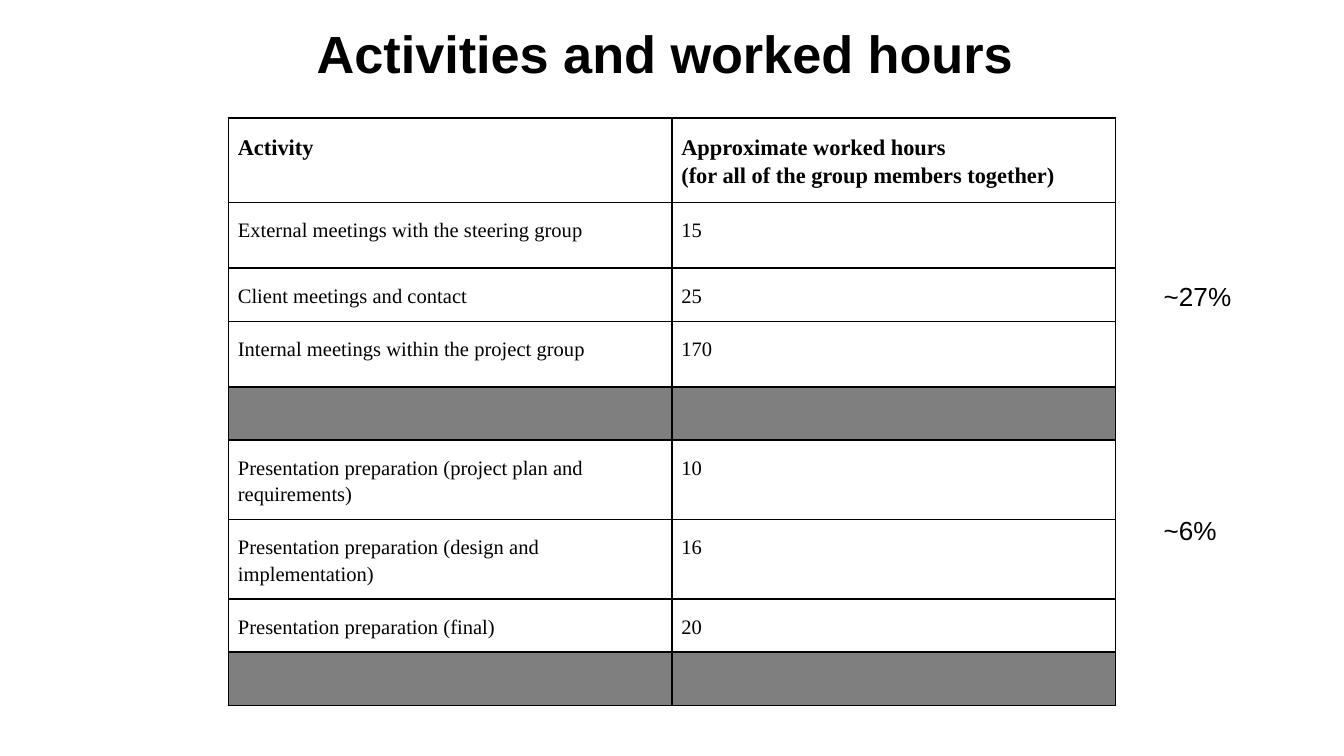
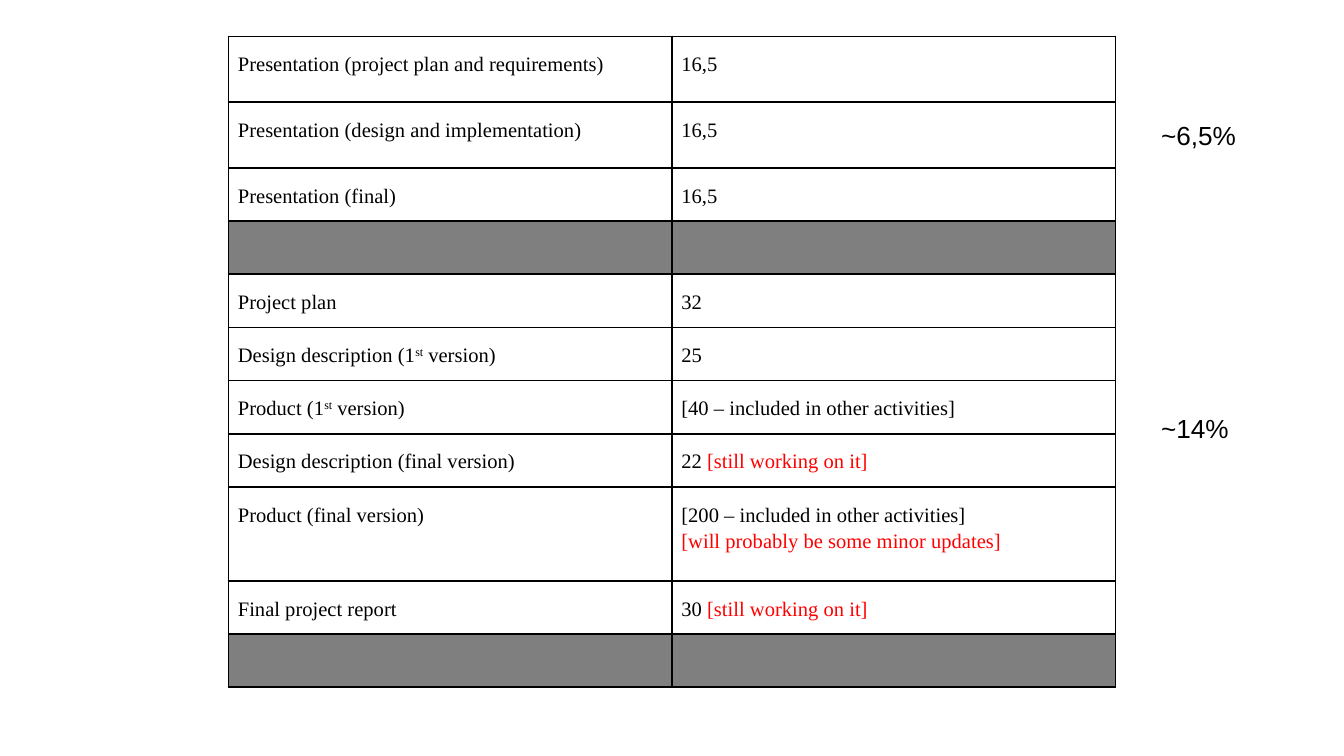
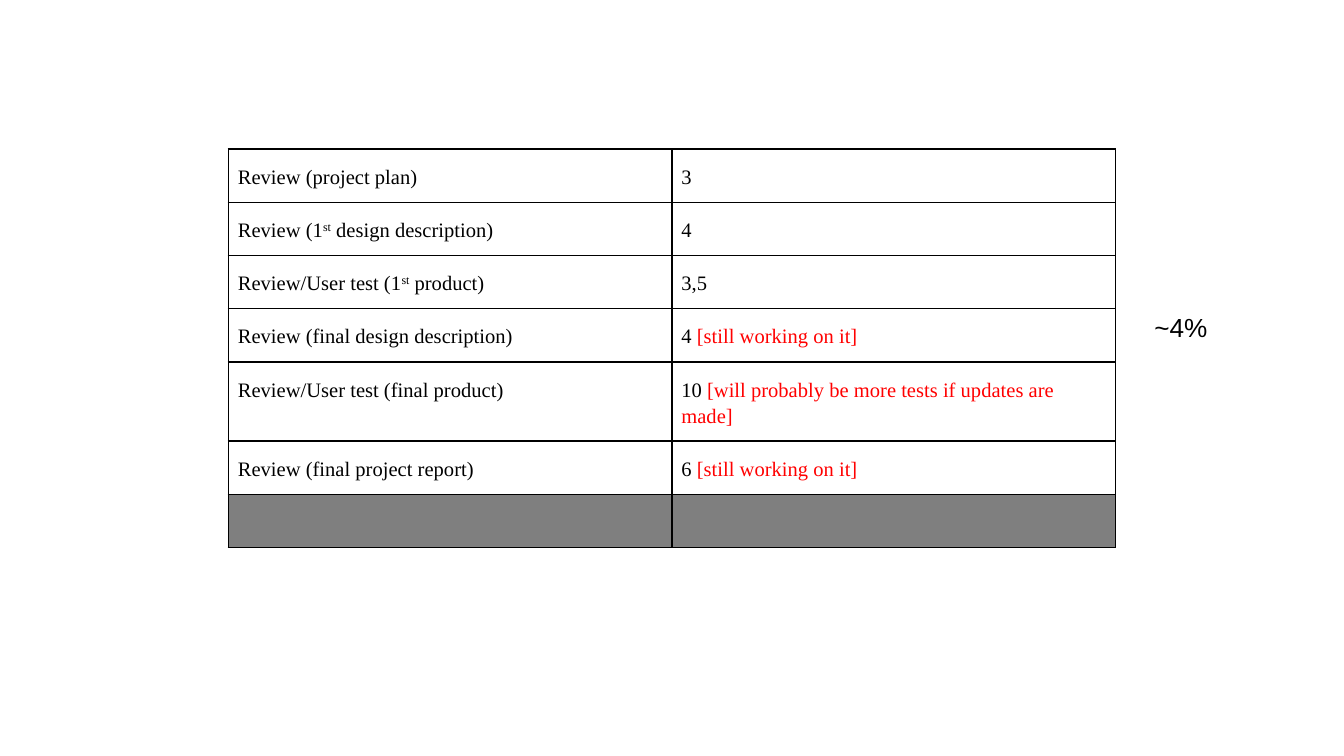
"""Build three slides that list project activities with their worked hours."""
from dataclasses import dataclass

from lxml import etree
from pptx import Presentation
from pptx.dml.color import RGBColor
from pptx.enum.text import MSO_ANCHOR, MSO_AUTO_SIZE, PP_ALIGN
from pptx.oxml.ns import qn
from pptx.util import Inches, Pt

TOP = MSO_ANCHOR.TOP
FIXED = MSO_AUTO_SIZE.NONE
CENTER = PP_ALIGN.CENTER

BLACK = RGBColor(0x00, 0x00, 0x00)
RED = RGBColor(0xFF, 0x00, 0x00)
GREY = RGBColor(0x7F, 0x7F, 0x7F)

SANS, SERIF = "Arial", "Times New Roman"
WIDTH, HEIGHT = Inches(10), Inches(5.625)
UNIT = WIDTH // 100
LEFT, COLUMN = 17, 33
LOW, MID, TALL, HEAD, HIGH = 3.95, 4.9, 5.88, 6.22, 7
TITLE_ONLY, BLANK = 5, 6
OPEN = " [still working on it]"


@dataclass
class Row:
    task: str = ""
    hours: str = ""
    note: str = ""
    below: str = ""
    tall: float = LOW
    head: bool = False


@dataclass
class Share:
    text: str
    left: float
    top: float


@dataclass
class Page:
    top: float
    rows: list[Row]
    shares: list[Share]
    title: str = ""


GAP = Row()

PAGES = [
    Page(8.8, [
        Row("Activity", "Approximate worked hours",
            below="(for all of the group members together)", tall=HEAD, head=True),
        Row("External meetings with the steering group", "15", tall=MID),
        Row("Client meetings and contact", "25"),
        Row("Internal meetings within the project group", "170", tall=MID),
        GAP,
        Row("Presentation preparation (project plan and requirements)", "10", tall=TALL),
        Row("Presentation preparation (design and implementation)", "16", tall=TALL),
        Row("Presentation preparation (final)", "20"),
        GAP,
    ], [Share("~27%", 85.6, 19.9), Share("~6%", 85.6, 37.3)],
        "Activities and worked hours "),
    Page(2.7, [
        Row("Presentation (project plan and requirements)", "16,5", tall=MID),
        Row("Presentation (design and implementation)", "16,5", tall=MID),
        Row("Presentation (final)", "16,5"),
        GAP,
        Row("Project plan", "32"),
        Row("Design description (1st version)", "25"),
        Row("Product (1st version)", "[40 – included in other activities]"),
        Row("Design description (final version)", "22", OPEN),
        Row("Product (final version)", "[200 – included in other activities]",
            below="[will probably be some minor updates]", tall=HIGH),
        Row("Final project report", "30", OPEN),
        GAP,
    ], [Share("~6,5%", 85.4, 7.9), Share("~14%", 85.4, 29.7)]),
    Page(11.1, [
        Row("Review (project plan)", "3"),
        Row("Review (1st design description)", "4"),
        Row("Review/User test (1st product)", "3,5"),
        Row("Review (final design description)", "4", OPEN),
        Row("Review/User test (final product)", "10",
            " [will probably be more tests if updates are made]", tall=TALL),
        Row("Review (final project report)", "6", OPEN),
        GAP,
    ], [Share("~4%", 84.9, 22.2)]),
]


def span(count: float) -> int:
    """Turn grid units into a length."""
    return round(count * UNIT)


def style(run, face: str, size: float, color: RGBColor = BLACK, bold: bool = False) -> None:
    """Format one run."""
    font = run.font
    font.name, font.size, font.bold = face, Pt(size), bold
    font.color.rgb = color


def place(shape, left: float, top: float, wide: float, tall: float) -> None:
    """Put a shape on the grid."""
    shape.left, shape.top = span(left), span(top)
    shape.width, shape.height = span(wide), span(tall)


def fit(shape, text: str, size: float, bold: bool = False):
    """Fill a text shape and return its paragraph."""
    frame = shape.text_frame
    frame.text = text
    frame.word_wrap, frame.auto_size = True, FIXED
    frame.vertical_anchor = TOP
    frame.margin_left = frame.margin_right = span(1)
    frame.margin_top = frame.margin_bottom = span(1)
    line = frame.paragraphs[0]
    style(line.runs[0], SANS, size, bold=bold)
    return line


def border(cell) -> None:
    """Draw a thin black line on each side of a cell."""
    props = cell._tc.get_or_add_tcPr()
    for side in ("lnL", "lnR", "lnT", "lnB"):
        edge = etree.SubElement(props, qn(f"a:{side}"), w=str(Pt(1)))
        fill = etree.SubElement(edge, qn("a:solidFill"))
        etree.SubElement(fill, qn("a:srgbClr"), val=str(BLACK))


def write(line, text: str, row: Row, color: RGBColor = BLACK) -> None:
    """Add text to a table line, with raised ordinals."""
    before, mark, after = text.partition("1st")
    parts = [before + "1", "st", after] if mark else [text]
    for index, part in enumerate(parts):
        run = line.add_run()
        run.text = part
        style(run, SERIF, 12 if row.head else 11, color, row.head)
        if index == 1:
            run.font._element.set("baseline", "30000")
    line.line_spacing = 1.15


def fill_cell(cell, row: Row, text: str, note: str = "", below: str = "") -> None:
    """Frame a cell and set its text or its grey fill."""
    border(cell)
    cell.margin_left = cell.margin_right = span(0.7)
    if not text:
        cell.margin_top = cell.margin_bottom = 0
        cell.fill.solid()
        cell.fill.fore_color.rgb = GREY
        return
    cell.fill.background()
    cell.margin_top = cell.margin_bottom = span(1)
    cell.vertical_anchor = TOP
    frame = cell.text_frame
    write(frame.paragraphs[0], text, row)
    if note:
        write(frame.paragraphs[0], note, row, RED)
    if below:
        write(frame.add_paragraph(), below, row, BLACK if row.head else RED)


def draw_table(slide, page: Page) -> None:
    """Draw the table of activities and hours."""
    total = sum(row.tall for row in page.rows)
    table = slide.shapes.add_table(len(page.rows), 2, span(LEFT), span(page.top),
                                   span(2 * COLUMN), span(total)).table
    table.first_row = table.horz_banding = False
    for column in table.columns:
        column.width = span(COLUMN)
    for line, row in zip(table.rows, page.rows):
        line.height = span(row.tall)
        task, hours = line.cells
        fill_cell(task, row, row.task)
        fill_cell(hours, row, row.hours, row.note, row.below)


def draw_page(deck, page: Page) -> None:
    """Add one slide with its title, table and shares."""
    layout = deck.slide_layouts[TITLE_ONLY if page.title else BLANK]
    slide = deck.slides.add_slide(layout)
    if page.title:
        title = slide.shapes.title
        place(title, 3.4, 0.6, 93.2, 6.3)
        fit(title, page.title, 28, True).alignment = CENTER
    draw_table(slide, page)
    for share in page.shares:
        box = slide.shapes.add_textbox(0, 0, 0, 0)
        place(box, share.left, share.top, 11.8, 8.4)
        fit(box, share.text, 14)


def main() -> None:
    """Build and save the deck."""
    deck = Presentation()
    deck.slide_width, deck.slide_height = WIDTH, HEIGHT
    for page in PAGES:
        draw_page(deck, page)
    deck.save("out.pptx")


if __name__ == "__main__":
    main()
